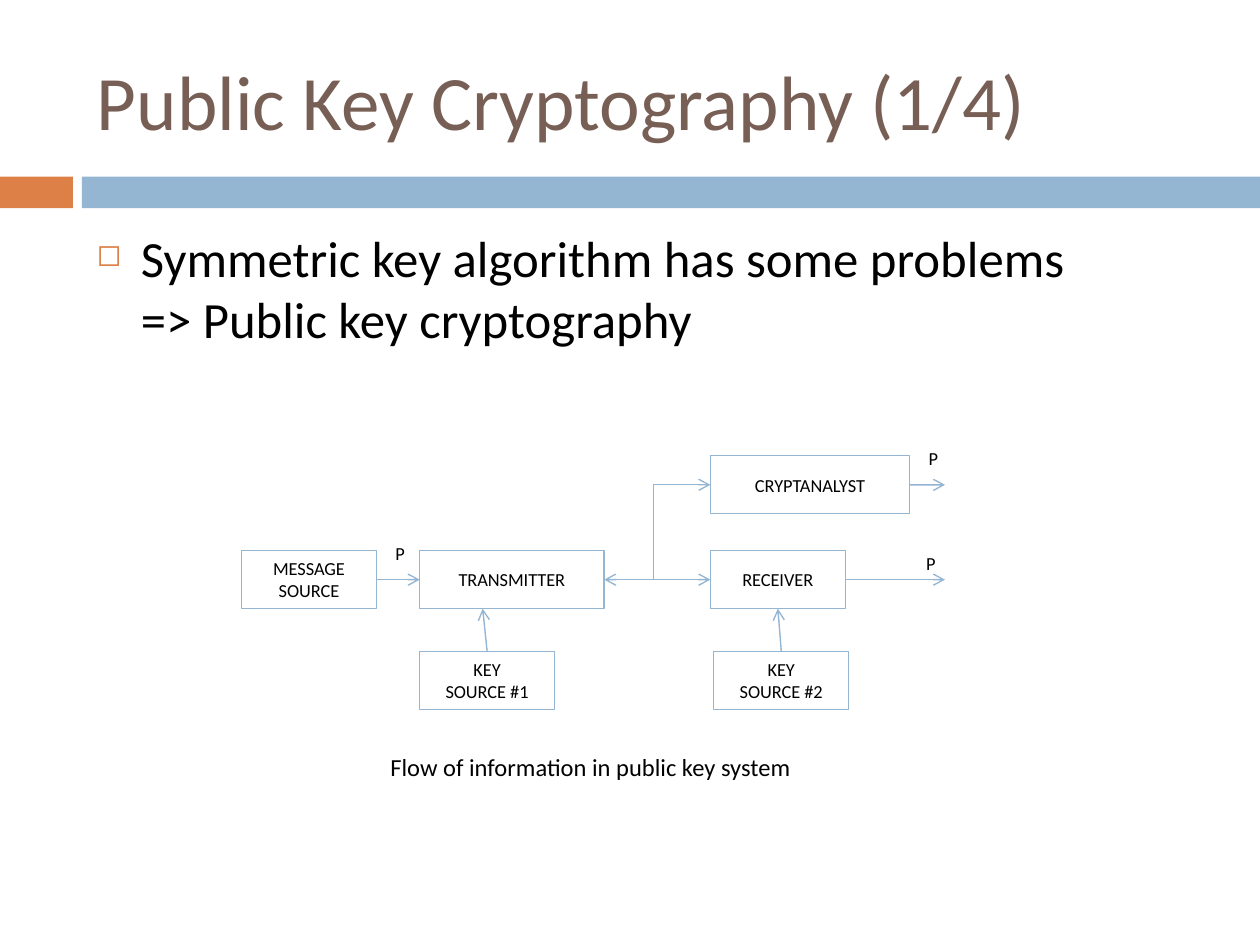
"""Build the slide on public key cryptography with its flow diagram."""
from lxml import etree
from pptx import Presentation
from pptx.dml.color import RGBColor
from pptx.enum.shapes import MSO_CONNECTOR, MSO_SHAPE
from pptx.enum.text import MSO_ANCHOR, PP_ALIGN
from pptx.oxml.ns import qn
from pptx.util import Cm, Pt

STRAIGHT, ELBOW = MSO_CONNECTOR.STRAIGHT, MSO_CONNECTOR.ELBOW
RECTANGLE = MSO_SHAPE.RECTANGLE
MIDDLE, TOP_ANCHOR = MSO_ANCHOR.MIDDLE, MSO_ANCHOR.TOP
LEFT_ALIGN, CENTER = PP_ALIGN.LEFT, PP_ALIGN.CENTER
TOP, LEFT, RIGHT = 0, 1, 3

ORANGE = RGBColor(0xDD, 0x80, 0x47)
BLUE = RGBColor(0x94, 0xB6, 0xD2)
BROWN = RGBColor(0x77, 0x5F, 0x55)
BLACK = RGBColor(0, 0, 0)


class FlowSlide:
    """Hold the style and the current slide, and draw its elements."""

    font = "Calibri"
    label_size = 10.5
    box_height = 1.17

    def __init__(self, presentation):
        self.slide = presentation.slides.add_slide(presentation.slide_layouts[5])
        self.shapes = self.slide.shapes

    def format_text(self, frame, size, color=BLACK, align=LEFT_ALIGN, anchor=TOP_ANCHOR):
        frame.word_wrap = True
        frame.vertical_anchor = anchor
        for paragraph in frame.paragraphs:
            paragraph.alignment = align
            for run in paragraph.runs:
                run.font.name = self.font
                run.font.size = Pt(size)
                run.font.color.rgb = color

    def title(self, text, left, top, width, height):
        heading = self.shapes.title
        heading.left, heading.top = Cm(left), Cm(top)
        heading.width, heading.height = Cm(width), Cm(height)
        heading.text_frame.text = text
        self.format_text(heading.text_frame, 44, BROWN, anchor=MIDDLE)

    def band(self, left, width, color):
        band = self.shapes.add_shape(RECTANGLE, Cm(left), Cm(3.56), Cm(width), Cm(0.64))
        band.shadow.inherit = False
        band.fill.solid()
        band.fill.fore_color.rgb = color
        band.line.fill.background()

    def text(self, text, left, top, width, height, size):
        holder = self.shapes.add_textbox(Cm(left), Cm(top), Cm(width), Cm(height))
        paragraph = holder.text_frame.paragraphs[0]
        paragraph.text = text
        self.format_text(holder.text_frame, size)
        return paragraph

    def bullet(self, text, left, top, width, height):
        paragraph = self.text(text, left, top, width, height, 29)
        properties = paragraph._p.get_or_add_pPr()
        properties.set("marL", str(Cm(0.89)))
        properties.set("indent", str(-Cm(0.89)))
        color = etree.SubElement(properties, qn("a:buClr"))
        etree.SubElement(color, qn("a:srgbClr"), val=str(ORANGE))
        etree.SubElement(properties, qn("a:buSzPct"), val="60000")
        etree.SubElement(properties, qn("a:buChar"), char="◻")

    def box(self, text, left, top, width=2.72):
        box = self.shapes.add_shape(
            RECTANGLE, Cm(left), Cm(top), Cm(width), Cm(self.box_height))
        box.shadow.inherit = False
        box.fill.background()
        box.line.color.rgb = BLUE
        box.line.width = Pt(0.75)
        box.text_frame.text = text
        self.format_text(box.text_frame, self.label_size, align=CENTER, anchor=MIDDLE)
        return box

    def label(self, text, left, top):
        self.text(text, left, top, 0.64, 0.51, self.label_size)

    def style_line(self, line, ends):
        line.line.color.rgb = BLUE
        line.line.width = Pt(0.79)
        outline = line.line._get_or_add_ln()
        for end in ends:
            etree.SubElement(outline, qn(f"a:{end}"), type="arrow")
        etree.SubElement(line._element.spPr, qn("a:effectLst"))

    def arrow(self, source, site, end=(0, 0), target=None, target_site=LEFT,
              ends=("tailEnd",)):
        x, y = end
        arrow = self.shapes.add_connector(STRAIGHT, 0, 0, Cm(x), Cm(y))
        arrow.begin_connect(source, site)
        if target is not None:
            arrow.end_connect(target, target_site)
        self.style_line(arrow, ends)

    def corner_arrow(self, start, end):
        (x1, y1), (x2, y2) = start, end
        across, rise = x2 - x1, y1 - y2
        left, top = (x1 + x2 - rise) / 2, (y1 + y2 - across) / 2
        arrow = self.shapes.add_connector(
            ELBOW, Cm(left), Cm(top), Cm(left + rise), Cm(top + across))
        properties = arrow._element.spPr
        properties.find(qn("a:prstGeom")).set("prst", "bentConnector2")
        frame = properties.find(qn("a:xfrm"))
        for name, value in (("rot", "5400000"), ("flipH", "1"), ("flipV", "1")):
            frame.set(name, value)
        self.style_line(arrow, ("tailEnd",))


def main():
    presentation = Presentation()
    presentation.slide_width, presentation.slide_height = Cm(25.4), Cm(19.05)
    page = FlowSlide(presentation)

    page.band(0, 1.47, ORANGE)
    page.band(1.65, 23.75, BLUE)
    page.title("Public Key Cryptography (1/4)", 1.7, 0.64, 22.66, 2.74)
    page.bullet("Symmetric key algorithm has some problems\n=> Public key cryptography",
                1.7, 4.45, 22.66, 12.5)

    upper, middle, lower = 9.19, 11.1, 13.13
    half = page.box_height / 2
    transmitter_left, receiver_left, output = 8.46, 14.32, 19.05

    transmitter = page.box("TRANSMITTER", transmitter_left, middle, 3.72)
    message = page.box("MESSAGE\nSOURCE", 4.87, middle)
    first_key = page.box("KEY\nSOURCE #1", transmitter_left, lower)
    receiver = page.box("RECEIVER", receiver_left, middle)
    cryptanalyst = page.box("CRYPTANALYST", receiver_left, upper, 4.02)
    second_key = page.box("KEY\nSOURCE #2", 14.39, lower)

    page.arrow(message, RIGHT, target=transmitter)
    page.arrow(first_key, TOP, end=(9.73, middle + page.box_height))
    page.arrow(second_key, TOP, target=receiver, target_site=2)
    page.arrow(transmitter, RIGHT, target=receiver, ends=("headEnd", "tailEnd"))
    page.arrow(receiver, RIGHT, end=(output, middle + half))
    page.arrow(cryptanalyst, RIGHT, end=(output, upper + half))
    page.corner_arrow((13.18, middle + half), (receiver_left, upper + half))

    for left, top in ((7.72, 10.8), (18.47, 8.89), (18.42, 11)):
        page.label("P", left, top)
    page.text("Flow of information in public key system", 7.62, 15.04, 11, 0.86, 14)

    presentation.save("out.pptx")


if __name__ == "__main__":
    main()
